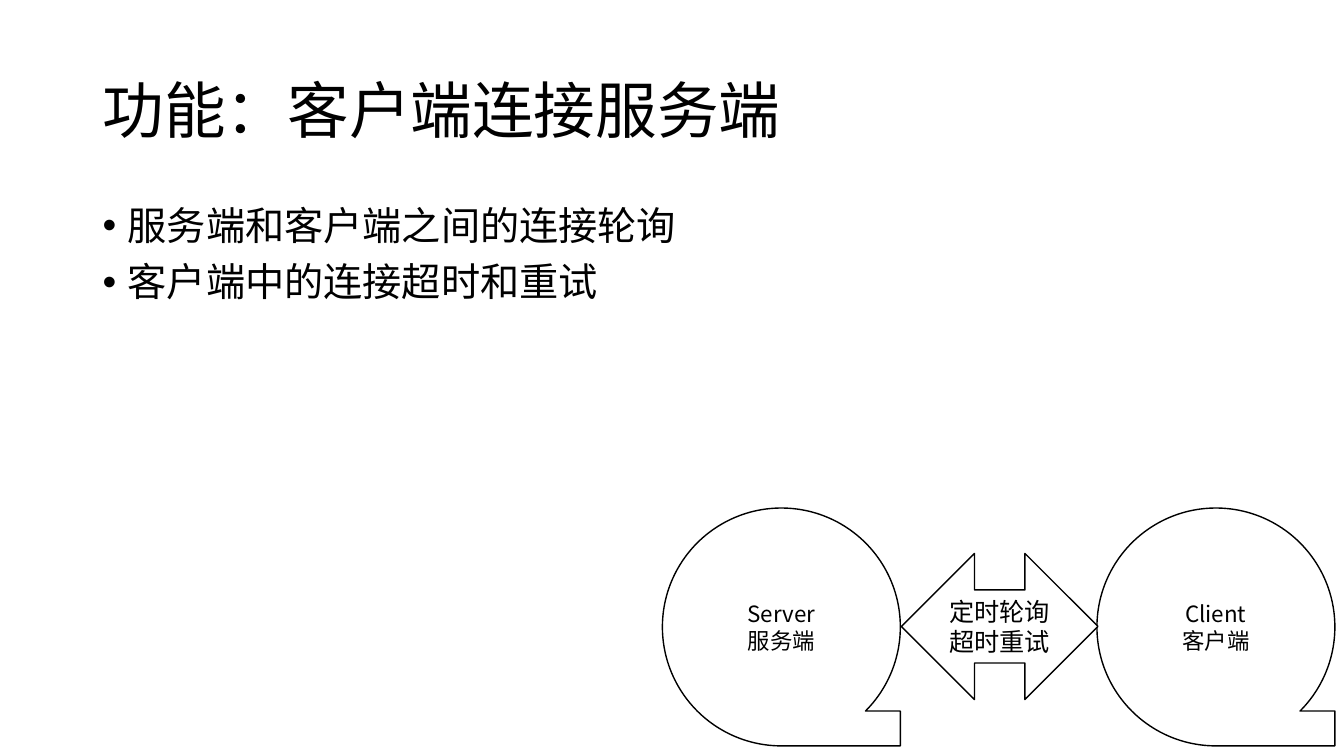
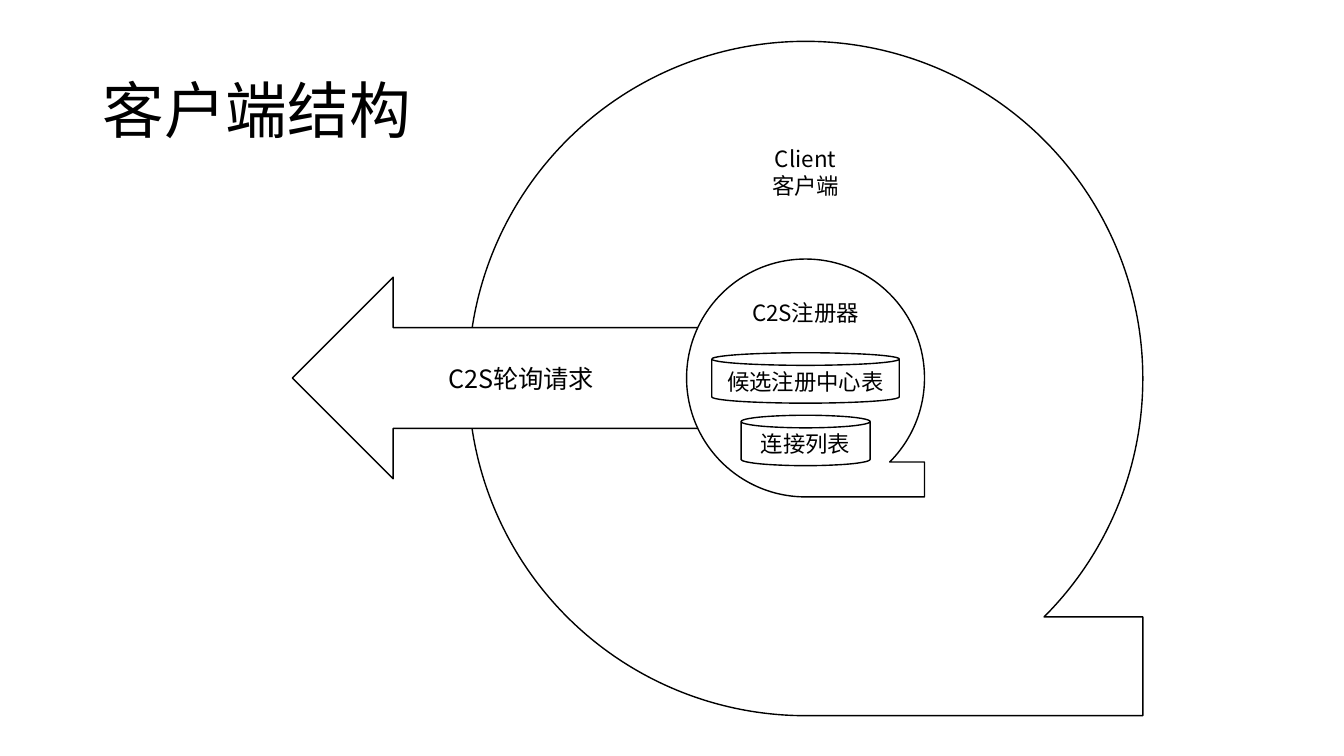
from lxml import etree
from pptx import Presentation
from pptx import util as u
from pptx.dml.color import RGBColor
from pptx.enum import shapes, text
from pptx.oxml import ns

FONT = "Noto Sans CJK SC"
COLORS = {"ink": "000000", "paper": "FFFFFF"}
KIND = shapes.MSO_SHAPE
TAPE = KIND.FLOWCHART_SEQUENTIAL_ACCESS_STORAGE
MID = text.MSO_ANCHOR.MIDDLE
TOP = text.MSO_ANCHOR.TOP
DISC = 2.36  # side of a small tape shape


def color(name):
    return RGBColor.from_string(COLORS[name])


class Deck:
    """Holds the shared style and the current slide."""

    def __init__(self):
        self.prs = Presentation()
        self.prs.slide_width = u.Inches(13.33)
        self.prs.slide_height = u.Inches(7.5)
        self.slide = None

    def page(self, title):
        self.slide = self.prs.slides.add_slide(self.prs.slide_layouts[6])
        frame = self.box(0.92, 0.4, 11.5, 1.45)
        frame.vertical_anchor = MID
        self.label(frame, [title], 44, spacing=0.9)

    def box(self, x, y, w, h):
        area = [u.Inches(n) for n in (x, y, w, h)]
        frame = self.slide.shapes.add_textbox(*area).text_frame
        frame.word_wrap = True
        return frame

    def label(self, frame, lines, size, align=None, spacing=None):
        frame.text = "\n".join(lines)
        for para in frame.paragraphs:
            para.alignment = align
            para.line_spacing = spacing
            para.font.size = u.Pt(size)
            para.font.color.rgb = color("ink")
            para.font.name = FONT
            # East Asian text needs its own typeface entry
            props = para._p.pPr.find(ns.qn("a:defRPr"))
            etree.SubElement(props, ns.qn("a:ea"), typeface=FONT)

    def bullets(self, lines):
        frame = self.box(0.92, 2, 11.5, 4.76)
        self.label(frame, lines, 28, spacing=0.9)
        for para in frame.paragraphs:
            para.space_before = u.Pt(10)
            props = para._p.pPr
            props.set("marL", str(u.Inches(0.25)))
            props.set("indent", str(-u.Inches(0.25)))
            font = props.find(ns.qn("a:defRPr"))
            face = etree.Element(ns.qn("a:buFont"), typeface="Arial")
            mark = etree.Element(ns.qn("a:buChar"), char="•")
            font.addprevious(face)
            font.addprevious(mark)

    def shape(self, kind, x, y, w, h, lines, size=16, anchor=MID):
        area = [u.Inches(n) for n in (x, y, w, h)]
        item = self.slide.shapes.add_shape(kind, *area)
        item.shadow.inherit = False
        item.fill.solid()
        item.fill.fore_color.rgb = color("paper")
        item.line.color.rgb = color("ink")
        item.line.width = u.Pt(1)
        frame = item.text_frame
        frame.word_wrap = True
        frame.vertical_anchor = anchor
        self.label(frame, lines, size, text.PP_ALIGN.CENTER)


def main():
    deck = Deck()

    # Connection between client and server
    deck.page("功能：客户端连接服务端")
    deck.bullets(["服务端和客户端之间的连接轮询", "客户端中的连接超时和重试"])
    for x, lines in ((6.57, ["Server", "服务端"]),
                     (10.88, ["Client", "客户端"])):
        deck.shape(TAPE, x, 5.04, DISC, DISC, lines)
    deck.shape(KIND.LEFT_RIGHT_ARROW, 8.94, 5.49, 1.95, 1.45,
               ["定时轮询", "超时重试"], 18)

    # Client structure, centred on one axis
    deck.page("客户端结构")
    axis = 7.99
    side = 6.69
    deck.shape(TAPE, axis - side / 2, 0.41, side, side,
               ["Client", "客户端"], anchor=TOP)
    deck.shape(KIND.LEFT_ARROW, 2.9, 2.75, 4.04, 2, ["C2S轮询请求"], 18)
    deck.shape(TAPE, axis - DISC / 2, 2.57, DISC, DISC,
               ["C2S注册器"], anchor=TOP)
    for y, w, name in ((3.5, 1.86, "候选注册中心表"),
                       (4.12, 1.28, "连接列表")):
        deck.shape(KIND.CAN, axis - w / 2, y, w, 0.5, [name])

    deck.prs.save("out.pptx")


if __name__ == "__main__":
    main()
